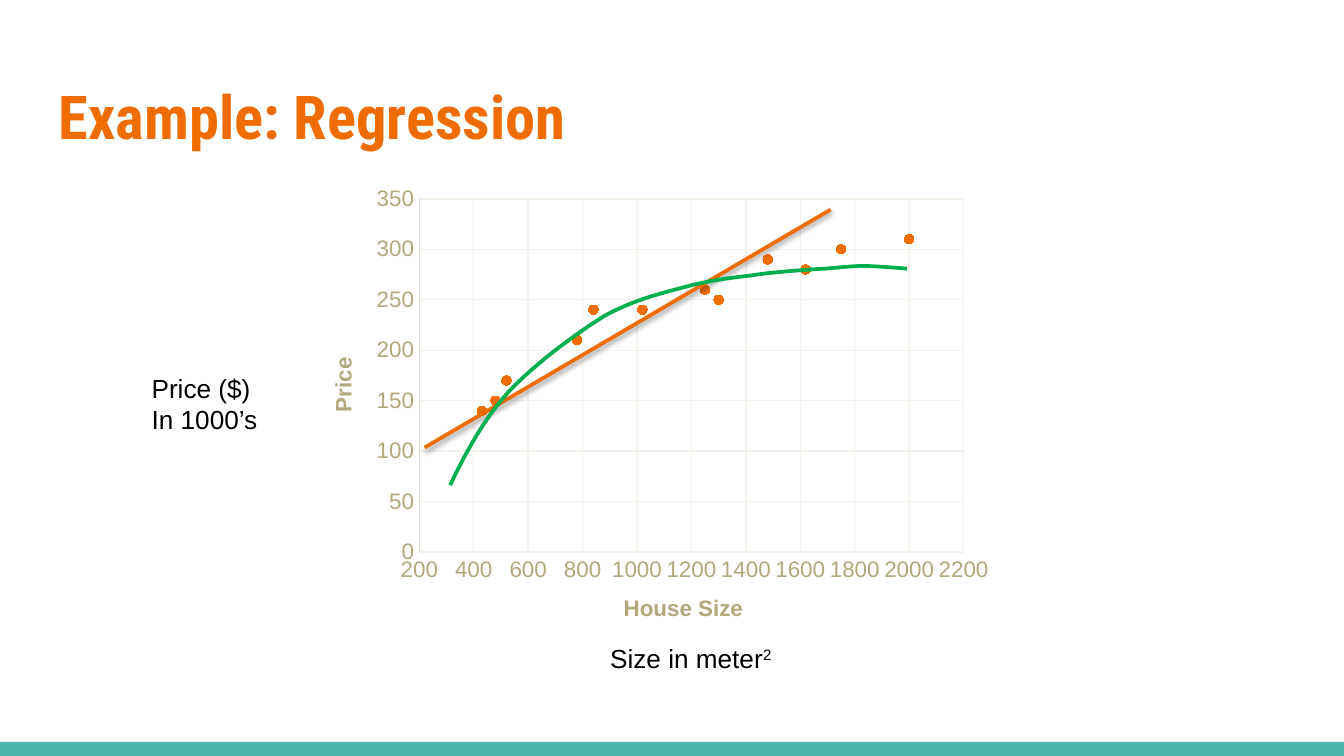
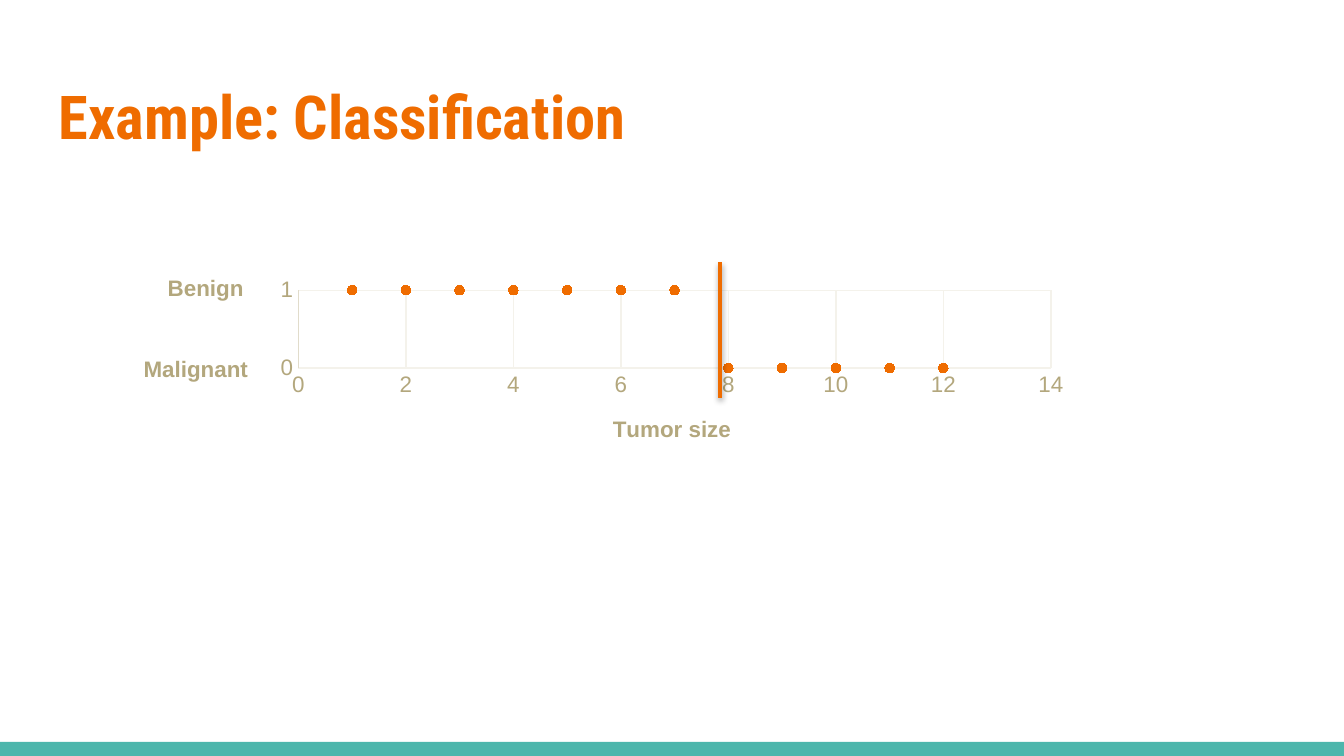
"""Build two slides that show regression and classification on scatter charts."""
from dataclasses import dataclass
from typing import Optional

from lxml import etree
from pptx import Presentation
from pptx.chart.axis import ValueAxis
from pptx.chart.data import XyChartData
from pptx.dml.color import RGBColor
from pptx.dml.line import LineFormat
from pptx.enum.chart import XL_CHART_TYPE, XL_MARKER_STYLE, XL_TICK_MARK
from pptx.enum.shapes import MSO_CONNECTOR, MSO_SHAPE
from pptx.enum.text import MSO_ANCHOR, MSO_AUTO_SIZE, PP_ALIGN
from pptx.oxml import parse_xml
from pptx.oxml.ns import nsdecls, qn
from pptx.slide import Slide
from pptx.text.text import TextFrame
from pptx.util import Inches, Pt

SCATTER = XL_CHART_TYPE.XY_SCATTER
CIRCLE = XL_MARKER_STYLE.CIRCLE
NO_TICK = XL_TICK_MARK.NONE
STRAIGHT = MSO_CONNECTOR.STRAIGHT
RECTANGLE = MSO_SHAPE.RECTANGLE
TOP = MSO_ANCHOR.TOP
FIT_SHAPE = MSO_AUTO_SIZE.SHAPE_TO_FIT_TEXT
LEFT, CENTER = PP_ALIGN.LEFT, PP_ALIGN.CENTER

ORANGE = RGBColor(0xEF, 0x6C, 0x00)
TEAL = RGBColor(0x4D, 0xB6, 0xAC)
GREEN = RGBColor(0x00, 0xB0, 0x50)
BLACK = RGBColor(0x00, 0x00, 0x00)
TAN = RGBColor(0xB3, 0xA7, 0x7D)
GRID = RGBColor(0xF4, 0xF2, 0xEB)
AXIS = RGBColor(0xE1, 0xDC, 0xCB)

TITLE_FONT = "Roboto Condensed"
BODY_FONT = "Arial"

Point = tuple[float, float]
Box = tuple[float, float, float, float]


@dataclass(frozen=True)
class Axis:
    """Scale and optional title of a chart axis."""
    low: float
    high: float
    step: float
    title: str = ""
    title_at: Optional[Point] = None


@dataclass(frozen=True)
class Scatter:
    """A scatter chart, with its box and plot area in slide inches."""
    box: Box
    plot: Box
    x_axis: Axis
    y_axis: Axis
    points: list[Point]


@dataclass(frozen=True)
class Label:
    """A free text label."""
    box: Box
    text: str
    size: float = 14
    color: RGBColor = BLACK
    bold: bool = False
    align: PP_ALIGN = LEFT
    wrap: bool = False
    superscript: str = ""


@dataclass(frozen=True)
class Page:
    """Everything that differs from one slide to the next."""
    title: str
    scatter: Scatter
    line: tuple[Point, Point]
    labels: list[Label]
    curve: Optional[list[Point]] = None


HOUSES = Page(
    "Example: Regression",
    Scatter(
        (2.25, 1.32, 5.22, 3.51), (3.12, 1.48, 4.05, 2.63),
        Axis(200, 2200, 200, "House Size", (4.61, 4.39)),
        Axis(0, 350, 50, "Price", (2.42, 2.63)),
        [(430, 140), (520, 170), (480, 150), (1020, 240), (1250, 260), (1300, 250),
         (2000, 310), (1750, 300), (780, 210), (840, 240), (1620, 280), (1480, 290)],
    ),
    ((3.16, 3.33), (6.18, 1.56)),
    [
        Label((1.03, 2.72, 1, 0.57), "Price ($)\nIn 1000’s"),
        Label((4.35, 4.73, 1.58, 0.34), "Size in meter", align=CENTER, wrap=True,
              superscript="2"),
    ],
    [(3.35, 3.61), (3.47, 3.36), (3.6, 3.12), (3.79, 2.91),
     (3.99, 2.7), (4.29, 2.48), (4.5, 2.35),
     (4.72, 2.23), (4.9, 2.19), (5.08, 2.14),
     (5.26, 2.09), (5.42, 2.07), (5.59, 2.05),
     (5.77, 2.02), (6.13, 2), (6.13, 2),
     (6.27, 1.99), (6.32, 1.98), (6.43, 1.98),
     (6.53, 1.98), (6.75, 2), (6.75, 2)],
)

TUMORS = Page(
    "Example: Classification",
    Scatter(
        (1.96, 2.05, 6.07, 1.38), (2.22, 2.16, 5.6, 0.58),
        Axis(0, 14, 2, "Tumor size", (4.53, 3.06)),
        Axis(0, 1, 1),
        [(size, 1 if size < 8 else 0) for size in range(1, 13)],
    ),
    ((5.36, 1.95), (5.36, 2.96)),
    [
        Label((1.15, 1.99, 0.77, 0.3), "Benign", 12, TAN, True),
        Label((0.97, 2.59, 0.98, 0.3), "Malignant", 12, TAN, True),
    ],
)


def inches(values: tuple[float, ...]) -> list[Inches]:
    """Turn numbers into lengths."""
    return [Inches(v) for v in values]


def style_line(line: LineFormat, color: RGBColor, width: float) -> None:
    """Set the colour and width of a line."""
    line.color.rgb = color
    line.width = Pt(width)


def style_font(tf: TextFrame, name: str, size: float, color: RGBColor, bold: bool) -> None:
    """Format every run of a text frame."""
    for p in tf.paragraphs:
        for r in p.runs:
            r.font.name = name
            r.font.size = Pt(size)
            r.font.bold = bold
            r.font.color.rgb = color


def place(parent: etree._Element, box: Box, at: tuple[float, ...], inner: bool = False) -> None:
    """Put a chart part at a place on the slide, as shares of the chart box."""
    layout = parent.find(qn("c:layout"))
    if layout is None:
        layout = etree.Element(qn("c:layout"))
        parent.insert(1 if parent.find(qn("c:tx")) is not None else 0, layout)
    manual = etree.SubElement(layout, qn("c:manualLayout"))
    left, top, width, height = box
    shares = [(at[0] - left) / width, (at[1] - top) / height]
    shares += [v / full for v, full in zip(at[2:], (width, height))]
    settings = [("layoutTarget", "inner")] if inner else []
    settings += [("xMode", "edge"), ("yMode", "edge")]
    settings += [(tag, f"{v:.4f}") for tag, v in zip("xywh", shares)]
    for tag, value in settings:
        etree.SubElement(manual, qn(f"c:{tag}")).set("val", value)


def style_axis(axis: ValueAxis, look: Axis, color: RGBColor, box: Box) -> None:
    """Apply scale, lines, labels and title to an axis."""
    axis.minimum_scale, axis.maximum_scale = look.low, look.high
    axis.major_unit = look.step
    axis.major_tick_mark = axis.minor_tick_mark = NO_TICK
    axis.has_major_gridlines = True
    style_line(axis.major_gridlines.format.line, GRID, 0.75)
    style_line(axis.format.line, color, 0.75)
    font = axis.tick_labels.font
    font.name, font.size, font.color.rgb = BODY_FONT, Pt(12), TAN
    axis.has_title = bool(look.title)
    if look.title:
        tf = axis.axis_title.text_frame
        tf.text = look.title
        style_font(tf, BODY_FONT, 12, TAN, True)
        place(axis.axis_title.element, box, look.title_at)


def add_scatter(s: Slide, scatter: Scatter) -> None:
    """Draw a scatter chart with round markers."""
    data = XyChartData()
    series = data.add_series("Series 1")
    for x, y in scatter.points:
        series.add_data_point(x, y)
    chart = s.shapes.add_chart(SCATTER, *inches(scatter.box), data).chart
    chart.has_title = chart.has_legend = False
    chart.font.name, chart.font.size = BODY_FONT, Pt(10)
    plot = chart.plots[0]
    plot.vary_by_categories = False
    dots = plot.series[0]
    dots.format.line.fill.background()
    dots.marker.style, dots.marker.size = CIRCLE, 5
    dots.marker.format.fill.solid()
    dots.marker.format.fill.fore_color.rgb = ORANGE
    dots.marker.format.line.fill.background()
    style_axis(chart.category_axis, scatter.x_axis, GRID, scatter.box)
    style_axis(chart.value_axis, scatter.y_axis, AXIS, scatter.box)
    place(chart.element.find(".//" + qn("c:plotArea")), scatter.box, scatter.plot, True)


def add_line(s: Slide, start: Point, end: Point) -> None:
    """Draw an orange line with a soft shadow below it."""
    sp = s.shapes.add_connector(STRAIGHT, *inches(start + end))
    style_line(sp.line, ORANGE, 2)
    sp.element.spPr.append(parse_xml(
        f'<a:effectLst {nsdecls("a")}>'
        f'<a:outerShdw blurRad="{Pt(3.1)}" dist="{Pt(1.6)}" dir="5400000" rotWithShape="0">'
        '<a:srgbClr val="000000"><a:alpha val="38000"/></a:srgbClr>'
        '</a:outerShdw></a:effectLst>'))


def bezier(a: Point, b: Point, c: Point, d: Point, steps: int = 12) -> list[Point]:
    """Sample a cubic curve after its first point."""
    points = []
    for i in range(1, steps + 1):
        t = i / steps
        weights = ((1 - t) ** 3, 3 * t * (1 - t) ** 2, 3 * t ** 2 * (1 - t), t ** 3)
        points.append(tuple(sum(w * p[k] for w, p in zip(weights, (a, b, c, d)))
                            for k in (0, 1)))
    return points


def add_curve(s: Slide, nodes: list[Point]) -> None:
    """Draw a smooth green curve through chained cubic segments."""
    points = [p for i in range(0, len(nodes) - 1, 3) for p in bezier(*nodes[i:i + 4])]
    builder = s.shapes.build_freeform(*inches(nodes[0]))
    builder.add_line_segments([inches(p) for p in points], close=False)
    sp = builder.convert_to_shape()
    sp.shadow.inherit = False
    sp.fill.background()
    style_line(sp.line, GREEN, 2)


def add_label(s: Slide, label: Label) -> None:
    """Write a text label."""
    tf = s.shapes.add_textbox(*inches(label.box)).text_frame
    tf.word_wrap = label.wrap
    tf.auto_size = FIT_SHAPE
    tf.text = label.text
    for p in tf.paragraphs:
        p.alignment = label.align
    if label.superscript:
        r = tf.paragraphs[-1].add_run()
        r.text = label.superscript
        r.font._element.set("baseline", "30000")
    style_font(tf, BODY_FONT, label.size, label.color, label.bold)


def add_frame(s: Slide, title: str) -> None:
    """Draw the bottom band and the title."""
    band = s.shapes.add_shape(RECTANGLE, *inches((0, 5.52, 10, 0.11)))
    band.shadow.inherit = False
    band.fill.solid()
    band.fill.fore_color.rgb = TEAL
    band.line.fill.background()
    tf = s.shapes.add_textbox(*inches((0.34, 0.49, 9.32, 0.77))).text_frame
    tf.word_wrap = True
    tf.vertical_anchor = TOP
    tf.margin_left = tf.margin_right = tf.margin_top = tf.margin_bottom = Inches(0.1)
    tf.text = title
    style_font(tf, TITLE_FONT, 32.4, ORANGE, True)


def main() -> None:
    """Build and save the presentation."""
    prs = Presentation()
    prs.slide_width, prs.slide_height = Inches(10), Inches(10 * 9 / 16)
    for page in (HOUSES, TUMORS):
        s = prs.slides.add_slide(prs.slide_layouts[6])
        add_frame(s, page.title)
        add_scatter(s, page.scatter)
        add_line(s, *page.line)
        if page.curve:
            add_curve(s, page.curve)
        for label in page.labels:
            add_label(s, label)
    prs.save("out.pptx")


if __name__ == "__main__":
    main()
